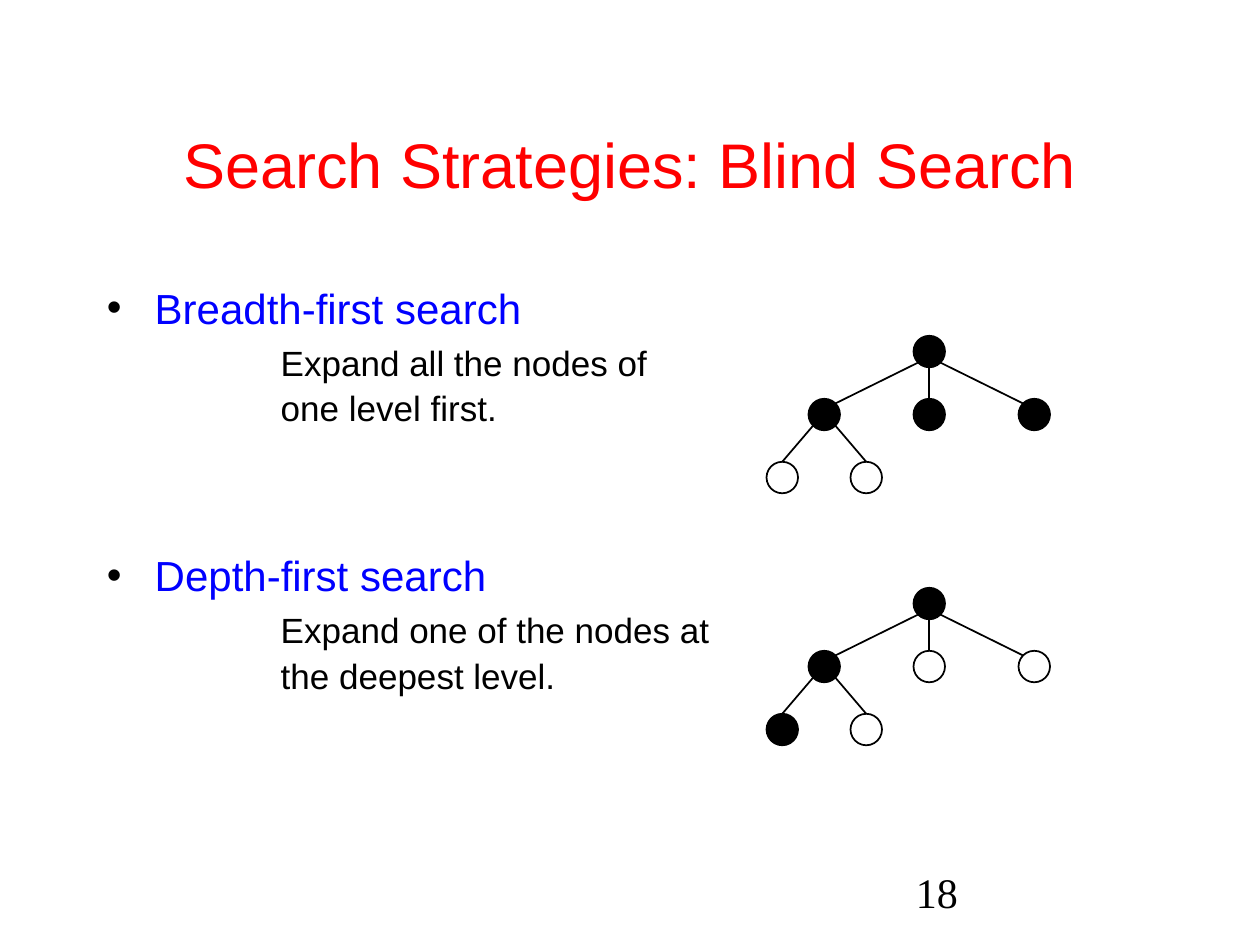
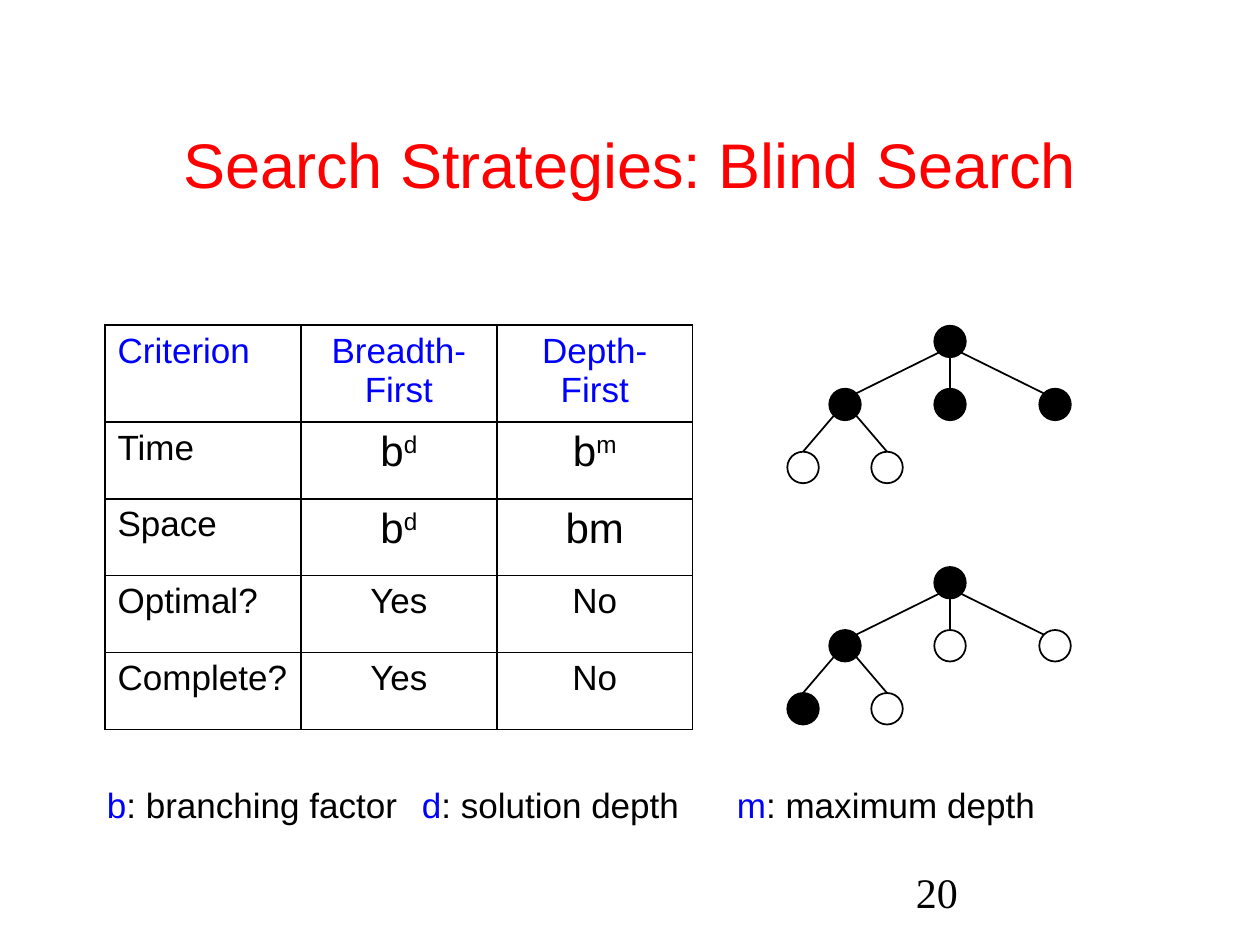
"""Build two slides comparing breadth-first and depth-first search."""
from lxml import etree
from pptx import Presentation
from pptx.dml.color import RGBColor
from pptx.enum.shapes import MSO_CONNECTOR, MSO_SHAPE
from pptx.enum.text import MSO_ANCHOR, PP_ALIGN
from pptx.oxml.ns import qn
from pptx.util import Inches, Pt

STRAIGHT, OVAL = MSO_CONNECTOR.STRAIGHT, MSO_SHAPE.OVAL
MIDDLE, CENTER, LEFT = MSO_ANCHOR.MIDDLE, PP_ALIGN.CENTER, PP_ALIGN.LEFT
RED, BLUE, BLACK = "FF0000", "0000FF", "000000"
WIDTH, HEIGHT = 10, 7.5
COL, ROW = WIDTH / 12, HEIGHT / 15
MARGIN = 0.9 * COL
NODE = 0.25
RADIUS = NODE / 2
DIAGONAL = 0.7 * RADIUS

TREE_NODES = [(0, 0), (-1, 1), (0, 1), (1, 1), (-1.4, 2), (-0.6, 2)]
TREE_EDGES = [
    (0, 1, (-DIAGONAL, DIAGONAL), (DIAGONAL, -DIAGONAL)),
    (0, 2, (0, RADIUS), (0, -RADIUS)),
    (0, 3, (DIAGONAL, DIAGONAL), (-DIAGONAL, -DIAGONAL)),
    (1, 4, (-DIAGONAL, DIAGONAL), (0, -RADIUS)),
    (1, 5, (DIAGONAL, DIAGONAL), (0, -RADIUS)),
]
BREADTH_EXPANDED, DEPTH_EXPANDED = {0, 1, 2, 3}, {0, 1, 4}


def style(font, size, color, face="Arial"):
    font.size, font.name = Pt(size), face
    font.color.rgb = RGBColor.from_string(color)


def add_text_frame(slide, left, top, width, height):
    box = slide.shapes.add_textbox(*map(Inches, (left, top, width, height)))
    box.text_frame.word_wrap = True
    return box.text_frame


deck = Presentation()
deck.slide_width, deck.slide_height = Inches(WIDTH), Inches(HEIGHT)
blank = deck.slide_layouts[6]
strategies, comparison = [deck.slides.add_slide(blank) for _ in range(2)]

for slide, number in ((strategies, "18"), (comparison, "20")):
    title = add_text_frame(slide, MARGIN, 0.67, WIDTH - 2 * MARGIN, 2.5 * ROW)
    title.vertical_anchor = MIDDLE
    heading = title.paragraphs[0]
    heading.text, heading.alignment = "Search Strategies: Blind Search", CENTER
    style(heading.font, 36, RED)
    footer = add_text_frame(slide, 7.17, 6.83, 2.5 * COL, ROW).paragraphs[0]
    footer.text = number
    style(footer.font, 24, BLACK, "Times New Roman")

body = add_text_frame(strategies, MARGIN, 2.19, WIDTH - 2 * MARGIN, 9 * ROW)
outline = [
    ("Breadth-first search", 24, BLUE, 0),
    ("Expand all the nodes of", 20, BLACK, 5),
    ("one level first.", 20, BLACK, 2),
    ("Depth-first search", 24, BLUE, 69),
    ("Expand one of the nodes at", 20, BLACK, 5),
    ("the deepest level.", 20, BLACK, 2),
]
for index, (text, size, color, gap) in enumerate(outline):
    paragraph = body.add_paragraph() if index else body.paragraphs[0]
    paragraph.text, paragraph.space_before = text, Pt(gap)
    properties = paragraph._p.get_or_add_pPr()
    if color == BLUE:
        properties.set("marL", str(Inches(0.38)))
        properties.set("indent", str(Inches(-0.38)))
        bullet_color = etree.SubElement(properties, qn("a:buClr"))
        etree.SubElement(bullet_color, qn("a:srgbClr"), val=BLACK)
        etree.SubElement(properties, qn("a:buFont"), typeface="Arial")
        etree.SubElement(properties, qn("a:buChar"), char="•")
    else:
        properties.set("marL", str(Inches(1.38)))
        properties.set("indent", "0")
    style(paragraph.font, size, color)

trees = [
    (strategies, 7.375, 2.79, BREADTH_EXPANDED),
    (strategies, 7.375, 4.79, DEPTH_EXPANDED),
    (comparison, 7.54, 2.71, BREADTH_EXPANDED),
    (comparison, 7.54, 4.625, DEPTH_EXPANDED),
]
for slide, root_x, root_y, expanded in trees:
    centers = [(root_x + x * COL, root_y + y * ROW) for x, y in TREE_NODES]
    for index, (x, y) in enumerate(centers):
        node = slide.shapes.add_shape(
            OVAL, *map(Inches, (x - RADIUS, y - RADIUS, NODE, NODE)))
        node.shadow.inherit = False
        node.line.width = Pt(1)
        node.line.color.rgb = RGBColor.from_string(BLACK)
        if index in expanded:
            node.fill.solid()
            node.fill.fore_color.rgb = RGBColor.from_string(BLACK)
        else:
            node.fill.background()
    for parent, child, start, end in TREE_EDGES:
        (x1, y1), (x2, y2) = centers[parent], centers[child]
        edge = slide.shapes.add_connector(STRAIGHT, *map(Inches, (
            x1 + start[0], y1 + start[1], x2 + end[0], y2 + end[1])))
        edge.line.width = Pt(1)
        edge.line.color.rgb = RGBColor.from_string(BLACK)
        etree.SubElement(edge._element.spPr, qn("a:effectLst"))

criteria = [
    ["Criterion", "Breadth-First", "Depth-First"],
    ["Time", "b^d", "b^m"],
    ["Space", "b^d", "bm"],
    ["Optimal?", "Yes", "No"],
    ["Complete?", "Yes", "No"],
]
table = comparison.shapes.add_table(
    5, 3, *map(Inches, (COL, 2.58, 4.68, 3.21))).table
table.first_row = table.horz_banding = False
for column in table.columns:
    column.width = Inches(1.555)
for index, row in enumerate(table.rows):
    row.height = Inches(0.61 if index else 0.77)
    for position, text in enumerate(criteria[index]):
        cell = row.cells[position]
        cell.fill.background()
        paragraph = cell.text_frame.paragraphs[0]
        paragraph.alignment = CENTER if position else LEFT
        base, _, exponent = text.partition("^")
        paragraph.add_run().text = base
        if exponent:
            power = paragraph.add_run()
            power.text = exponent
            power._r.get_or_add_rPr().set("baseline", "30000")
        formula = position and index in (1, 2)
        style(paragraph.font, 24 if formula else 20, BLACK if index else BLUE)
        cell_properties = cell._tc.get_or_add_tcPr()
        for order, side in enumerate(("a:lnL", "a:lnR", "a:lnT", "a:lnB")):
            border = etree.Element(qn(side), w=str(Pt(1)))
            border_fill = etree.SubElement(border, qn("a:solidFill"))
            etree.SubElement(border_fill, qn("a:srgbClr"), val=BLACK)
            cell_properties.insert(order, border)

legend = add_text_frame(comparison, MARGIN, 6.17, 8.58, 0.43).paragraphs[0]
for symbol, meaning in (("b", ": branching factor\t"),
                        ("d", ": solution depth\t"),
                        ("m", ": maximum depth")):
    for text, color in ((symbol, BLUE), (meaning, BLACK)):
        run = legend.add_run()
        run.text = text
        style(run.font, 20, color)

deck.save("out.pptx")
